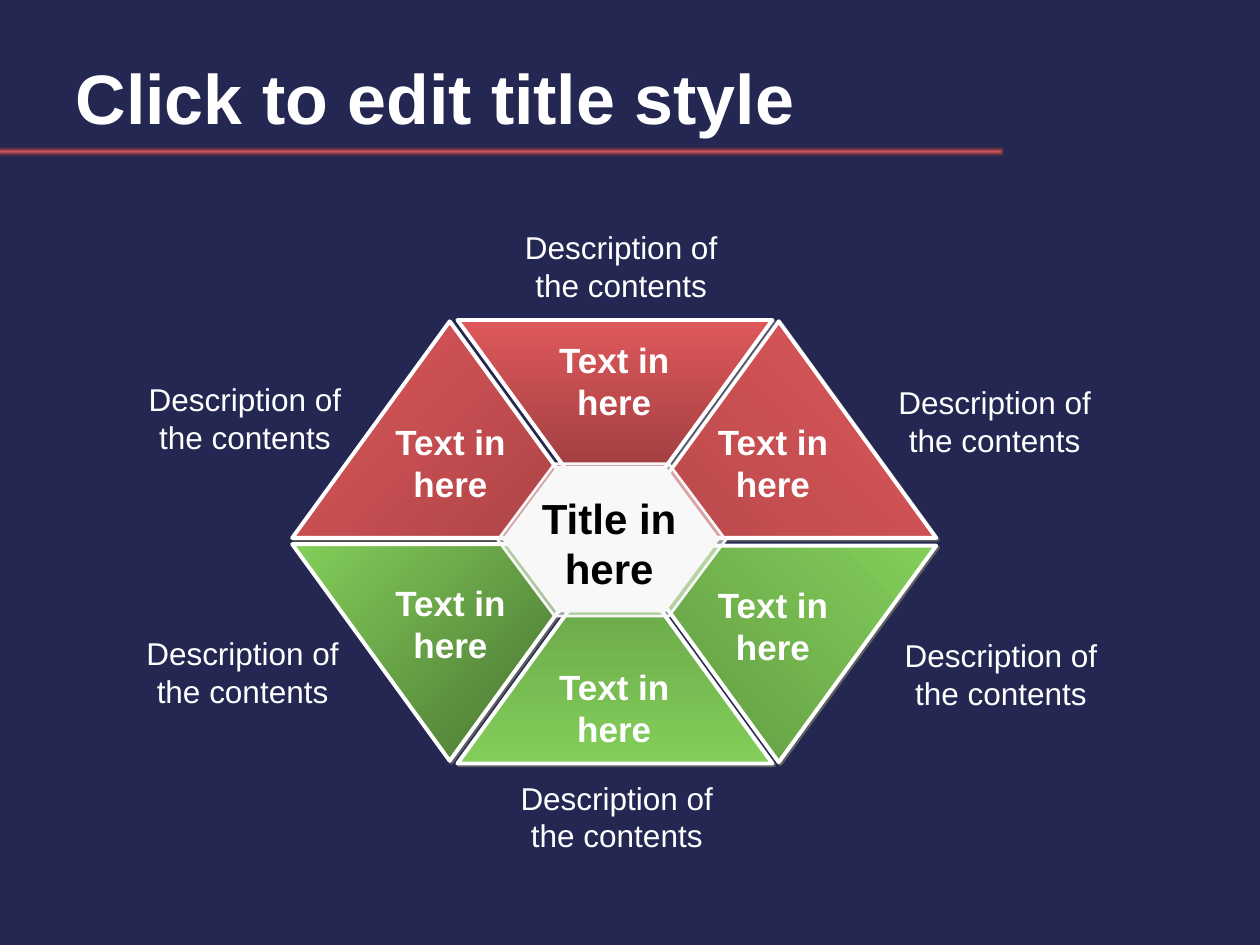
from pptx import Presentation
from pptx.dml.color import RGBColor as RGB
from pptx.enum.shapes import MSO_SHAPE as SHAPE
from pptx.enum.text import MSO_ANCHOR as ANCHOR, MSO_AUTO_SIZE as FIT, PP_ALIGN as ALIGN
from pptx.oxml.ns import qn
from pptx.util import Pt
from lxml.etree import SubElement as Sub

HEX = {
    "back": "232751", "white": "FFFFFF", "black": "000000", "pale": "F8F8F8",
    "red": "DE585B", "rust": "662829", "rose": "B6484A", "brick": "A84244", "wine": "853436",
    "green": "83CE5A", "moss": "42682D", "leaf": "639C44", "fern": "5F9541",
    "shade": "5F5F5F", "gray": "808080",
}

TITLE = "Click to edit title style"
CORE = "Title in here"
LABEL = "Text in here"
NOTE = "Description of the contents"
SPLIT = "Description of\nthe contents"

WEDGES = [
    (167, 311, True, "moss", "green", 135, "shade", 100),
    (355, 183.6, False, "red", "rose", 135, "shade", 100),
    (167, 183.6, False, "brick", "red", 225, "shade", 100),
    (261.4, 182.9, True, "wine", "red", 90, "gray", 50),
    (261.4, 312.5, False, "leaf", "green", 90, "shade", 100),
    (355, 311.8, True, "green", "fern", 225, "shade", 100),
]
LABELS = [(302.4, 190), (208.8, 329), (393.1, 329.8),
          (302.4, 376.6), (208.8, 236.9), (393.1, 236.9)]
NOTES = [
    (69.8, 213.8, 140.4, NOTE), (498.2, 215.3, 140.4, NOTE),
    (68.4, 358.6, 140.4, NOTE), (501.8, 360, 140.4, NOTE),
    (234, 126.7, 241.9, SPLIT), (255.6, 441.4, 193.7, SPLIT),
]
HEXES = [(284.4, 265, 130.3, 87.1, 50), (288, 267.1, 122.4, 82.1, 100)]


def tint(name):
    return RGB.from_string(HEX[name])


def fade(node, pct):
    Sub(node, qn("a:alpha"), val=str(pct * 1000))


def blend(shape, start, end):
    shape.fill.gradient()
    for stop, name in zip(shape.fill.gradient_stops, (start, end)):
        stop.color.rgb = tint(name)
    first, last = shape.fill.gradient_stops
    first.position, last.position = 0, 1


def style(frame, size, color, bold, align):
    frame.word_wrap = True
    for para in frame.paragraphs:
        para.alignment = align
        for run in para.runs:
            font = run.font
            font.name, font.size, font.bold = "Arial", Pt(size), bold
            font.color.rgb = tint(color)


def add_text(x, y, w, h, text, size, color="white", bold=True):
    frame = slide.shapes.add_textbox(Pt(x), Pt(y), Pt(w), Pt(h)).text_frame
    frame.text = text
    style(frame, size, color, bold, ALIGN.CENTER)
    frame.auto_size = FIT.SHAPE_TO_FIT_TEXT


def add_bar():
    bar = slide.shapes.add_shape(SHAPE.RECTANGLE, Pt(-2.2), Pt(83.5), Pt(576), Pt(5.8))
    bar.shadow.inherit = False
    bar.line.fill.background()
    blend(bar, "red", "rust")
    grad = bar._element.spPr.find(qn("a:gradFill"))
    fade(grad.findall(".//" + qn("a:srgbClr"))[1], 0)
    lin = grad.find(qn("a:lin"))
    route = Sub(grad, qn("a:path"), path="rect")
    Sub(route, qn("a:fillToRect"), l="50000", t="50000", r="50000", b="50000")
    grad.replace(lin, route)


def add_wedge(x, y, flip, start, end, angle, shade, alpha):
    wedge = slide.shapes.add_shape(SHAPE.ISOSCELES_TRIANGLE, Pt(x), Pt(y), Pt(180), Pt(123.8))
    blend(wedge, start, end)
    wedge.fill.gradient_angle = 360 - angle
    wedge.line.color.rgb = tint("white")
    wedge.line.width = Pt(2.25)
    wedge.shadow.inherit = False
    props = wedge._element.spPr
    if flip:
        props.find(qn("a:xfrm")).set("flipV", "1")
    drop = Sub(props.find(qn("a:effectLst")), qn("a:outerShdw"), blurRad="0",
               dist=str(Pt(1.4)), dir="2700000", algn="ctr", rotWithShape="0")
    fade(Sub(drop, qn("a:srgbClr"), val=HEX[shade]), alpha)


def add_core():
    group = slide.shapes.add_group_shape()
    for x, y, w, h, alpha in HEXES:
        core = group.shapes.add_shape(SHAPE.HEXAGON, Pt(x), Pt(y), Pt(w), Pt(h))
        core.adjustments[0] = 0.373
        core.shadow.inherit = False
        core.fill.solid()
        core.fill.fore_color.rgb = tint("pale")
        core.line.color.rgb = tint("pale")
        core.line.width = Pt(1.5)
        if alpha < 100:
            fade(core._element.spPr.find(qn("a:solidFill"))[0], alpha)


deck = Presentation()
deck.slide_width, deck.slide_height = Pt(720), Pt(540)
slide = deck.slides.add_slide(deck.slide_layouts[5])
slide.background.fill.solid()
slide.background.fill.fore_color.rgb = tint("back")

title = slide.shapes.title
title.left, title.top, title.width, title.height = Pt(36), Pt(13), Pt(617.8), Pt(84.2)
title.text_frame.text = TITLE
style(title.text_frame, 40, "white", True, ALIGN.LEFT)
title.text_frame.vertical_anchor = ANCHOR.MIDDLE
title.text_frame.auto_size = FIT.NONE

add_bar()
for wedge in WEDGES:
    add_wedge(*wedge)
for x, y in LABELS:
    add_text(x, y, 97.2, 55.4, LABEL, 20)
for x, y, w, text in NOTES:
    add_text(x, y, w, 50.4, text, 18, bold=False)
add_core()
add_text(300.2, 277.9, 95.8, 64.8, CORE, 24, "black")

deck.save("out.pptx")
